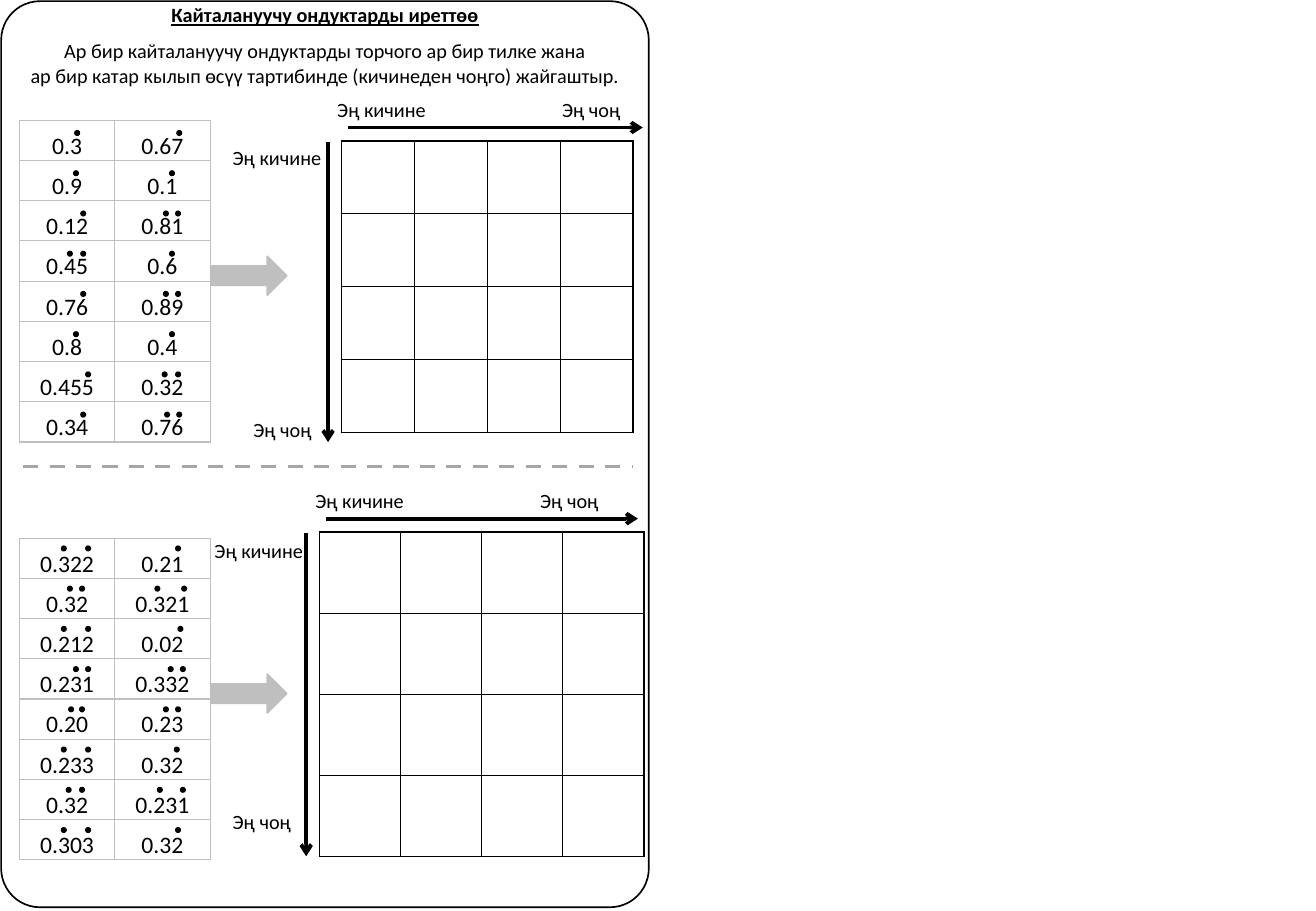
from lxml import etree
from pptx import Presentation
from pptx.dml.color import RGBColor
from pptx.enum.dml import MSO_LINE
from pptx.enum.shapes import MSO_CONNECTOR, MSO_SHAPE
from pptx.enum.text import MSO_ANCHOR, MSO_AUTO_SIZE, PP_ALIGN
from pptx.oxml.ns import qn
from pptx.util import Emu, Pt

PX = 9144  # 100 px to the inch
COLORS = {"ink": "000000", "paper": "FFFFFF", "gray": "BFBFBF", "divider": "A6A6A6"}
CENTER, BOTTOM, GROW = PP_ALIGN.CENTER, MSO_ANCHOR.BOTTOM, MSO_AUTO_SIZE.SHAPE_TO_FIT_TEXT
STRAIGHT, DASH = MSO_CONNECTOR.STRAIGHT, MSO_LINE.DASH
ARROW, FRAME, DOT = MSO_SHAPE.RIGHT_ARROW, MSO_SHAPE.ROUNDED_RECTANGLE, MSO_SHAPE.OVAL

LABEL = {"name": "Calibri", "size": Pt(12)}
TITLE = {**LABEL, "bold": True, "underline": True}
NUMBER = {"name": "Calibri", "size": Pt(14)}
NO_INSETS = dict.fromkeys(("margin_left", "margin_right", "margin_top", "margin_bottom"), 0)
SMALLEST, LARGEST = "Эң кичине", "Эң чоң"
DOT_SIZE = 5

# Each number comes with the left edges of the dots above its repeating digits
UPPER_NUMBERS = [
    [("0.3", [61]), ("0.67", [145])],
    [("0.9", [60]), ("0.1", [139])],
    [("0.12", [66]), ("0.81", [134, 144])],
    [("0.45", [55, 66]), ("0.6", [139])],
    [("0.76", [66]), ("0.89", [134, 144])],
    [("0.8", [60]), ("0.4", [139])],
    [("0.455", [70]), ("0.32", [133, 144])],
    [("0.34", [66]), ("0.76", [135, 145])],
]
LOWER_NUMBERS = [
    [("0.322", [50, 70]), ("0.21", [144])],
    [("0.32", [55, 65]), ("0.321", [127, 149])],
    [("0.212", [50, 70]), ("0.02", [146])],
    [("0.231", [60, 70]), ("0.332", [138, 148])],
    [("0.20", [56, 65]), ("0.23", [134, 144])],
    [("0.233", [50, 70]), ("0.32", [143])],
    [("0.32", [54, 65]), ("0.231", [129, 148])],
    [("0.303", [50, 70]), ("0.32", [144])],
]


def px(*lengths):
    return [Emu(round(length * PX)) for length in lengths]


def color(name):
    return RGBColor.from_string(COLORS[name])


def set_values(target, values):
    for name, value in values.items():
        setattr(target, name, value)


def write(para, text, style):
    para.alignment = CENTER
    span = para.add_run()
    span.text = text
    set_values(span.font, style)
    span.font.color.rgb = color("ink")


def add_text(page, place, lines, style):
    box = page.shapes.add_textbox(*px(*place))
    frame = box.text_frame
    set_values(frame, {"word_wrap": False, "auto_size": GROW})
    for index, line in enumerate(lines):
        para = frame.add_paragraph() if index else frame.paragraphs[0]
        write(para, line, style)


def add_figure(page, kind, place, fill=None, line=None):
    shape = page.shapes.add_shape(kind, *px(*place))
    shape.shadow.inherit = False
    if fill:
        shape.fill.solid()
        shape.fill.fore_color.rgb = color(fill)
    else:
        shape.fill.background()
    if line:
        shape.line.color.rgb = color(line)
        shape.line.width = Pt(1)
    else:
        shape.line.fill.background()
    return shape


def add_line(page, ends, tint, dash=None, arrow=False):
    line = page.shapes.add_connector(STRAIGHT, *px(*ends))
    line.line.color.rgb = color(tint)
    line.line.width = Pt(2.25)
    if dash:
        line.line.dash_style = dash
    properties = line.element.spPr
    if arrow:
        etree.SubElement(properties.find(qn("a:ln")), qn("a:tailEnd"), type="arrow")
    etree.SubElement(properties, qn("a:effectLst"))


def set_borders(cell, tint, widths):
    properties = cell._tc.get_or_add_tcPr()
    for side, width in zip("LRTB", widths):
        border = etree.SubElement(properties, qn(f"a:ln{side}"), w=str(Pt(width)))
        fill = etree.SubElement(border, qn("a:solidFill"))
        etree.SubElement(fill, qn("a:srgbClr"), val=COLORS[tint])


def add_plain_table(page, place, rows, columns, tint, outer):
    table = page.shapes.add_table(rows, columns, *px(*place)).table
    set_values(table, {"first_row": False, "horz_banding": False})
    for row in range(rows):
        for column in range(columns):
            cell = table.cell(row, column)
            edges = (column == 0, column == columns - 1, row == 0, row == rows - 1)
            set_borders(cell, tint, [outer if edge else 0.75 for edge in edges])
            cell.fill.solid()
            cell.fill.fore_color.rgb = color("paper")
    return table


def add_numbers(page, top, numbers, dot_gap):
    height = 265
    table = add_plain_table(page, (16, top, 157, height), len(numbers), 2, "gray", 0.75)
    for row, pair in enumerate(numbers):
        dot_top = top + dot_gap + row * height / len(numbers)
        for column, (number, dots) in enumerate(pair):
            cell = table.cell(row, column)
            set_values(cell, {**NO_INSETS, "vertical_anchor": BOTTOM})
            write(cell.text_frame.paragraphs[0], number, NUMBER)
            for left in dots:
                add_figure(page, DOT, (left, dot_top, DOT_SIZE, DOT_SIZE), "ink")


def add_task(page, numbers, list_top, dot_gap, grid, axis_ends, side_labels):
    left, top, size = grid
    right, bottom = axis_ends
    # Numbers to sort and the empty grid
    add_figure(page, ARROW, (172, list_top + 112, 64, 32), "gray", "gray")
    add_plain_table(page, (left, top, size, size), 4, 4, "ink", 1)
    add_numbers(page, list_top, numbers, dot_gap)
    # Axes with their labels
    add_line(page, (left + 5, top - 11, right, top - 11), "ink", arrow=True)
    add_line(page, (left - 11, top + 1, left - 11, bottom), "ink", arrow=True)
    add_text(page, (left - 14, top - 41, 94, 30), [SMALLEST], LABEL)
    add_text(page, (left + 171, top - 41, 69, 30), [LARGEST], LABEL)
    for text, place in zip((SMALLEST, LARGEST), side_labels):
        add_text(page, place, [text], LABEL)


def main():
    deck = Presentation()
    deck.slide_width, deck.slide_height = px(1083, 750)
    page = deck.slides.add_slide(deck.slide_layouts[6])

    # Card frame and heading
    card = add_figure(page, FRAME, (1, 1, 533, 746), line="ink")
    card.adjustments[0] = 0.06
    add_text(page, (130, -3, 275, 30), ["Кайталануучу ондуктарды иреттөө"], TITLE)
    add_text(page, (7, 27, 521, 50), [
        "Ар бир кайталануучу ондуктарды торчого ар бир тилке жана",
        "ар бир катар кылып өсүү тартибинде (кичинеден чоңго) жайгаштыр.",
    ], LABEL)

    # Two sorting tasks and the divider between them
    add_task(page, UPPER_NUMBERS, 99, 8, (281, 116, 240), (529, 364),
             [(181, 115, 94, 30), (198, 339, 69, 30)])
    add_task(page, LOWER_NUMBERS, 443, 6, (263, 438, 267), (525, 705),
             [(166, 438, 94, 30), (181, 661, 69, 30)])
    add_line(page, (19, 384, 520, 384), "divider", dash=DASH)

    deck.save("out.pptx")


if __name__ == "__main__":
    main()
